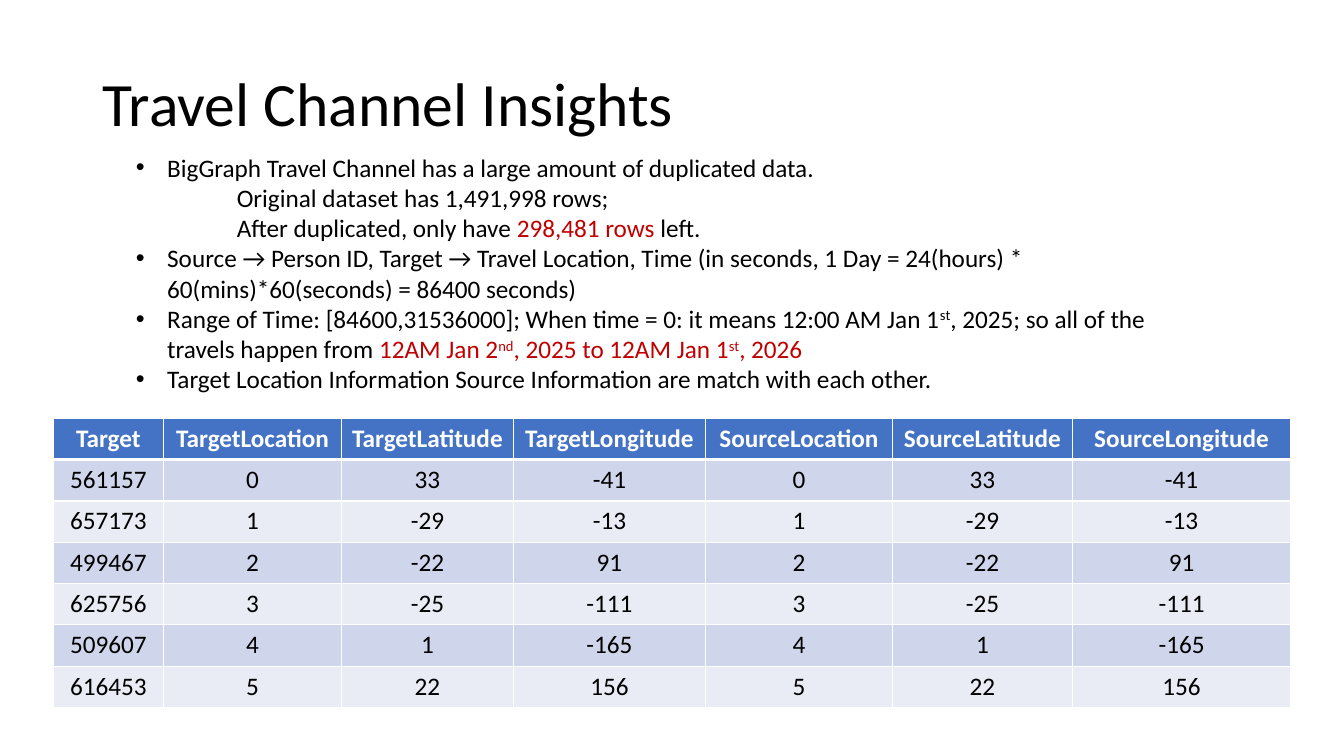
from dataclasses import dataclass

from pptx import Presentation
from pptx.dml.color import RGBColor as RGB
from pptx.enum.text import MSO_ANCHOR as Anchor, PP_ALIGN as Align
from pptx.oxml.ns import qn
from pptx.oxml.xmlchemy import OxmlElement as Element
from pptx.util import Inches, Pt

FONT = "Calibri"
BLACK, WHITE, RED, BLUE = "000000", "FFFFFF", "C00000", "4472C4"
BANDS = ("CFD5EA", "E9EBF5")


@dataclass
class Run:
    text: str
    color: str = BLACK
    base: int = 0


@dataclass
class Item:
    runs: list[Run]
    bullet: bool = True


# Content
ITEMS = [
    Item([Run("BigGraph Travel Channel has a large amount of duplicated data.")]),
    Item([Run("Original dataset has 1,491,998 rows;")], bullet=False),
    Item([Run("After duplicated, only have "), Run("298,481 rows ", RED),
          Run("left.")], bullet=False),
    Item([Run("Source → Person ID, Target → Travel Location, Time (in seconds, "
              "1 Day = 24(hours) * 60(mins)*60(seconds) = 86400 seconds)")]),
    Item([Run("Range of Time: [84600,31536000]; When time = 0: it means "
              "12:00 AM Jan 1"), Run("st", base=30),
          Run(", 2025; so all of the travels happen from "),
          Run("12AM Jan 2", RED), Run("nd", RED, 30),
          Run(", 2025 to 12AM Jan 1", RED), Run("st", RED, 30),
          Run(", 2026", RED)]),
    Item([Run("Target Location Information Source Information are match "
              "with each other.")]),
]
FIELDS = ("Location", "Latitude", "Longitude")
HEADS = ["Target"] + [side + field for side in ("Target", "Source")
                      for field in FIELDS]
PLACES = [
    ("561157", "0", "33", "-41"),
    ("657173", "1", "-29", "-13"),
    ("499467", "2", "-22", "91"),
    ("625756", "3", "-25", "-111"),
    ("509607", "4", "1", "-165"),
    ("616453", "5", "22", "156"),
]
WIDTHS = (1.09, 1.77, 1.7, 1.91, 1.85, 1.79, 2.16)
HEIGHT = 0.41


def paint(color: str) -> RGB:
    return RGB.from_string(color)


def write(para, text: str, *, size: float = 18, color: str = BLACK,
          bold: bool = False, base: int = 0) -> None:
    run = para.add_run()
    run.text = text
    font = run.font
    font.name, font.size, font.bold = FONT, Pt(size), bold
    font.color.rgb = paint(color)
    if base:
        run._r.get_or_add_rPr().set("baseline", str(base * 1000))


def add_box(slide, left: float, top: float, width: float, height: float):
    box = slide.shapes.add_textbox(Inches(left), Inches(top),
                                   Inches(width), Inches(height))
    box.text_frame.word_wrap = True
    return box.text_frame


def indent(para, bullet: bool) -> None:
    props = para._p.get_or_add_pPr()
    props.set("marL", str(Inches(0.31 if bullet else 1)))
    props.set("indent", str(Inches(-0.31 if bullet else 0)))
    if bullet:
        face = Element("a:buFont")
        face.set("typeface", "Arial")
        mark = Element("a:buChar")
        mark.set("char", "•")
        props.extend([face, mark])


def add_edge(cell, side: str, width: float) -> None:
    line = Element(f"a:ln{side}")
    line.set("w", str(Pt(width)))
    fill = Element("a:solidFill")
    color = Element("a:srgbClr")
    color.set("val", WHITE)
    fill.append(color)
    line.append(fill)
    cell._tc.get_or_add_tcPr().append(line)


def fill_cell(cell, text: str, row: int) -> None:
    head = row == 0
    edges = {"L": 1, "R": 1, "T": 3 if row == 1 else 1, "B": 3 if head else 1}
    for side, width in edges.items():
        add_edge(cell, side, width)
    cell.fill.solid()
    cell.fill.fore_color.rgb = paint(BLUE if head else BANDS[(row - 1) % 2])
    para = cell.text_frame.paragraphs[0]
    para.alignment = Align.CENTER
    write(para, text, color=WHITE if head else BLACK, bold=head)


def add_grid(slide) -> None:
    rows = [HEADS] + [place + place[1:] for place in PLACES]
    table = slide.shapes.add_table(
        len(rows), len(WIDTHS), Inches(0.53), Inches(4.15),
        Inches(sum(WIDTHS)), Inches(HEIGHT * len(rows))).table
    for col, width in zip(table.columns, WIDTHS):
        col.width = Inches(width)
    for r, texts in enumerate(rows):
        table.rows[r].height = Inches(HEIGHT)
        for c, text in enumerate(texts):
            fill_cell(table.cell(r, c), text, r)


def main() -> None:
    deck = Presentation()
    deck.slide_width, deck.slide_height = Inches(13.33), Inches(7.5)
    slide = deck.slides.add_slide(deck.slide_layouts[6])

    # Title
    frame = add_box(slide, 0.92, 0.33, 11.5, 1.45)
    frame.vertical_anchor = Anchor.MIDDLE
    para = frame.paragraphs[0]
    para.line_spacing = 0.9
    write(para, "Travel Channel Insights", size=44)

    # Findings
    frame = add_box(slide, 1.25, 1.46, 10.42, 2.83)
    for i, item in enumerate(ITEMS):
        para = frame.add_paragraph() if i else frame.paragraphs[0]
        indent(para, item.bullet)
        for run in item.runs:
            write(para, run.text, color=run.color, base=run.base)

    # Matching locations
    add_grid(slide)
    deck.save("out.pptx")


if __name__ == "__main__":
    main()
